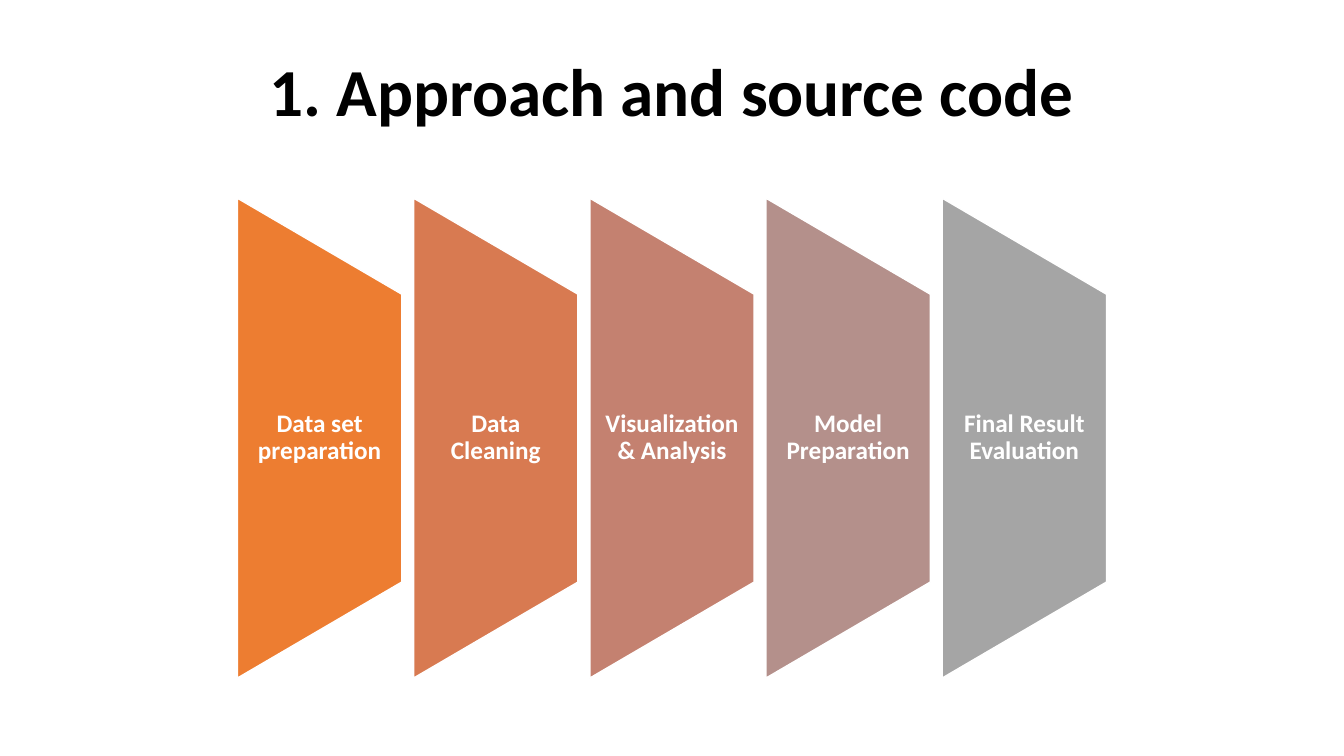
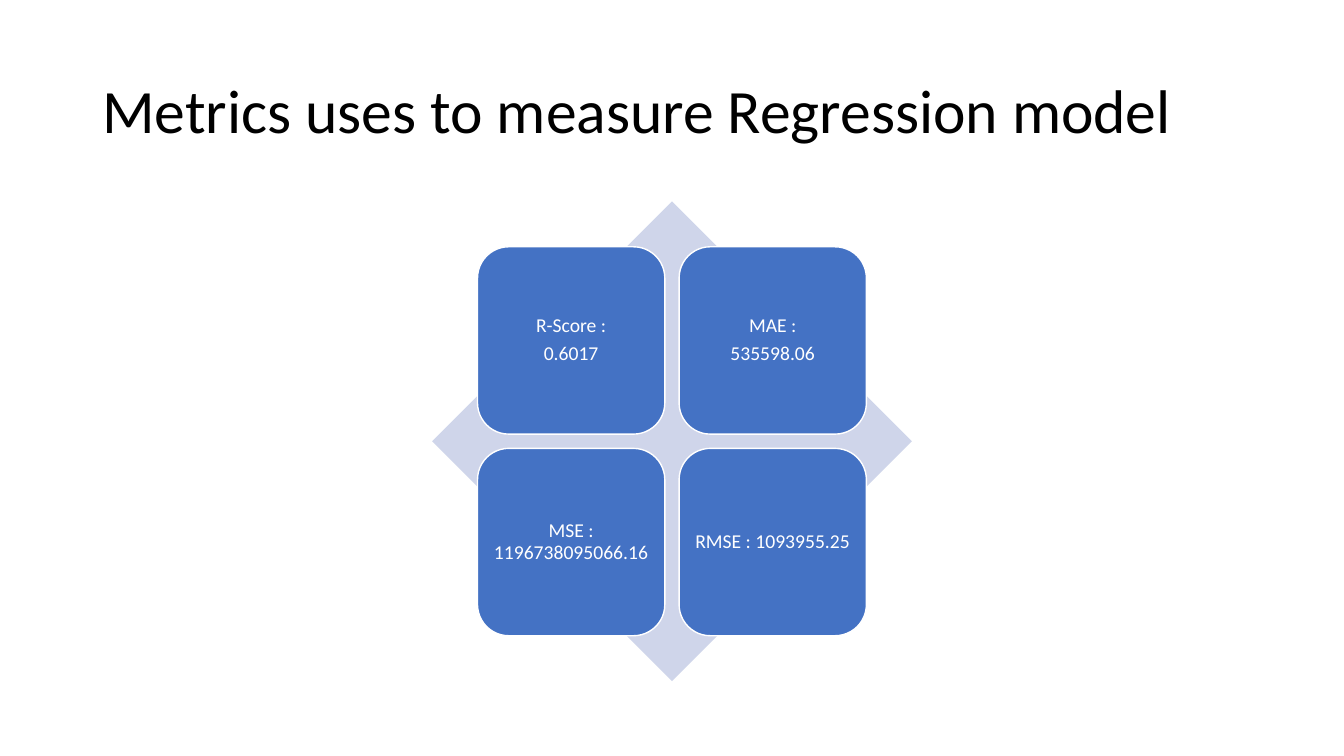
from dataclasses import dataclass

from pptx import Presentation
from pptx.dml.color import RGBColor
from pptx.enum.shapes import MSO_SHAPE
from pptx.enum.text import MSO_ANCHOR, PP_ALIGN
from pptx.shapes.autoshape import Shape
from pptx.slide import Slide
from pptx.util import Cm, Pt

# Shared style, lengths in centimetres
FONT = "Calibri"
BLACK, WHITE = "000000", "FFFFFF"
TILE_BLUE, DIAMOND_BLUE = "4472C4", "CFD5EA"
SLIDE_WIDTH, SLIDE_HEIGHT = 33.87, 19.05
CENTER_X = SLIDE_WIDTH / 2


@dataclass(frozen=True)
class Box:
    left: float
    top: float
    width: float
    height: float

    def lengths(self) -> tuple[Cm, Cm, Cm, Cm]:
        return Cm(self.left), Cm(self.top), Cm(self.width), Cm(self.height)


def centered_box(x: float, y: float, width: float, height: float) -> Box:
    return Box(x - width / 2, y - height / 2, width, height)


@dataclass(frozen=True)
class Step:
    label: str
    color: str


@dataclass(frozen=True)
class Metric:
    lines: tuple[str, ...]


STEPS = (
    Step("Data set preparation", "ED7D31"),
    Step("Data Cleaning", "D87A51"),
    Step("Visualization & Analysis", "C48170"),
    Step("Model Preparation", "B4908B"),
    Step("Final Result Evaluation", "A5A5A5"),
)

METRICS = (
    Metric(("R-Score :", "0.6017")),
    Metric(("MAE :", "535598.06")),
    Metric(("MSE : 1196738095066.16",)),
    Metric(("RMSE : 1093955.25",)),
)


def rgb(color: str) -> RGBColor:
    return RGBColor.from_string(color)


def write_text(shape: Shape, *lines: str, size: float, color: str = WHITE,
               bold: bool = False, align: PP_ALIGN = PP_ALIGN.CENTER,
               inset_x: float = 0.25, inset_y: float = 0.13) -> None:
    frame = shape.text_frame
    frame.word_wrap = True
    frame.vertical_anchor = MSO_ANCHOR.MIDDLE
    frame.margin_left = frame.margin_right = Cm(inset_x)
    frame.margin_top = frame.margin_bottom = Cm(inset_y)
    for index, line in enumerate(lines):
        paragraph = frame.add_paragraph() if index else frame.paragraphs[0]
        paragraph.alignment = align
        paragraph.line_spacing = 0.9
        if index:
            paragraph.space_before = Pt(round(size * 0.35, 1))
        run = paragraph.add_run()
        run.text = line
        run.font.name = FONT
        run.font.size = Pt(size)
        run.font.bold = bold
        run.font.color.rgb = rgb(color)


def add_filled_shape(slide: Slide, kind: MSO_SHAPE, box: Box, fill: str,
                     line: str | None = None) -> Shape:
    shape = slide.shapes.add_shape(kind, *box.lengths())
    shape.shadow.inherit = False
    shape.fill.solid()
    shape.fill.fore_color.rgb = rgb(fill)
    if line is None:
        shape.line.fill.background()
    else:
        shape.line.color.rgb = rgb(line)
        shape.line.width = Pt(1)
    return shape


def add_title(slide: Slide, text: str, box: Box, size: float,
              bold: bool = False, align: PP_ALIGN = PP_ALIGN.LEFT) -> None:
    title = slide.shapes.add_textbox(*box.lengths())
    write_text(title, text, size=size, color=BLACK, bold=bold, align=align)


def add_approach_slide(presentation: Presentation) -> None:
    slide = presentation.slides.add_slide(presentation.slide_layouts[6])
    add_title(slide, "1. Approach and source code", Box(5.5, 1.35, 22.87, 2.1),
              size=48, bold=True, align=PP_ALIGN.CENTER)

    # Row of trapezoids, turned so that the long side faces left
    width, length, gap, center_y = 4.14, 12.09, 0.3, 11.04
    middle = (len(STEPS) - 1) / 2
    for index, step in enumerate(STEPS):
        x = CENTER_X + (index - middle) * (width + gap)
        trapezoid = add_filled_shape(
            slide, MSO_SHAPE.FLOWCHART_MANUAL_OPERATION,
            centered_box(x, center_y, length, width), step.color, WHITE)
        trapezoid.rotation = 270
        label = slide.shapes.add_textbox(
            *centered_box(x, center_y, width, length * 0.6).lengths())
        write_text(label, step.label, size=18, bold=True,
                   inset_x=0.3, inset_y=0)


def add_metrics_slide(presentation: Presentation) -> None:
    slide = presentation.slides.add_slide(presentation.slide_layouts[6])
    add_title(slide, "Metrics uses to measure Regression model",
              Box(2.33, 1.01, 29.21, 3.68), size=44)

    # Diamond behind a two by two grid of tiles
    diamond_size, tile_size, gap, center_y = 12.09, 4.72, 0.36, 11.12
    add_filled_shape(
        slide, MSO_SHAPE.DIAMOND,
        centered_box(CENTER_X, center_y, diamond_size, diamond_size),
        DIAMOND_BLUE)
    pitch = tile_size + gap
    for index, metric in enumerate(METRICS):
        row, column = divmod(index, 2)
        tile = add_filled_shape(
            slide, MSO_SHAPE.ROUNDED_RECTANGLE,
            centered_box(CENTER_X + (column - 0.5) * pitch,
                         center_y + (row - 0.5) * pitch,
                         tile_size, tile_size),
            TILE_BLUE, WHITE)
        write_text(tile, *metric.lines, size=14, inset_x=0.15, inset_y=0.15)


def main() -> None:
    presentation = Presentation()
    presentation.slide_width = Cm(SLIDE_WIDTH)
    presentation.slide_height = Cm(SLIDE_HEIGHT)
    add_approach_slide(presentation)
    add_metrics_slide(presentation)
    presentation.save("out.pptx")


if __name__ == "__main__":
    main()
